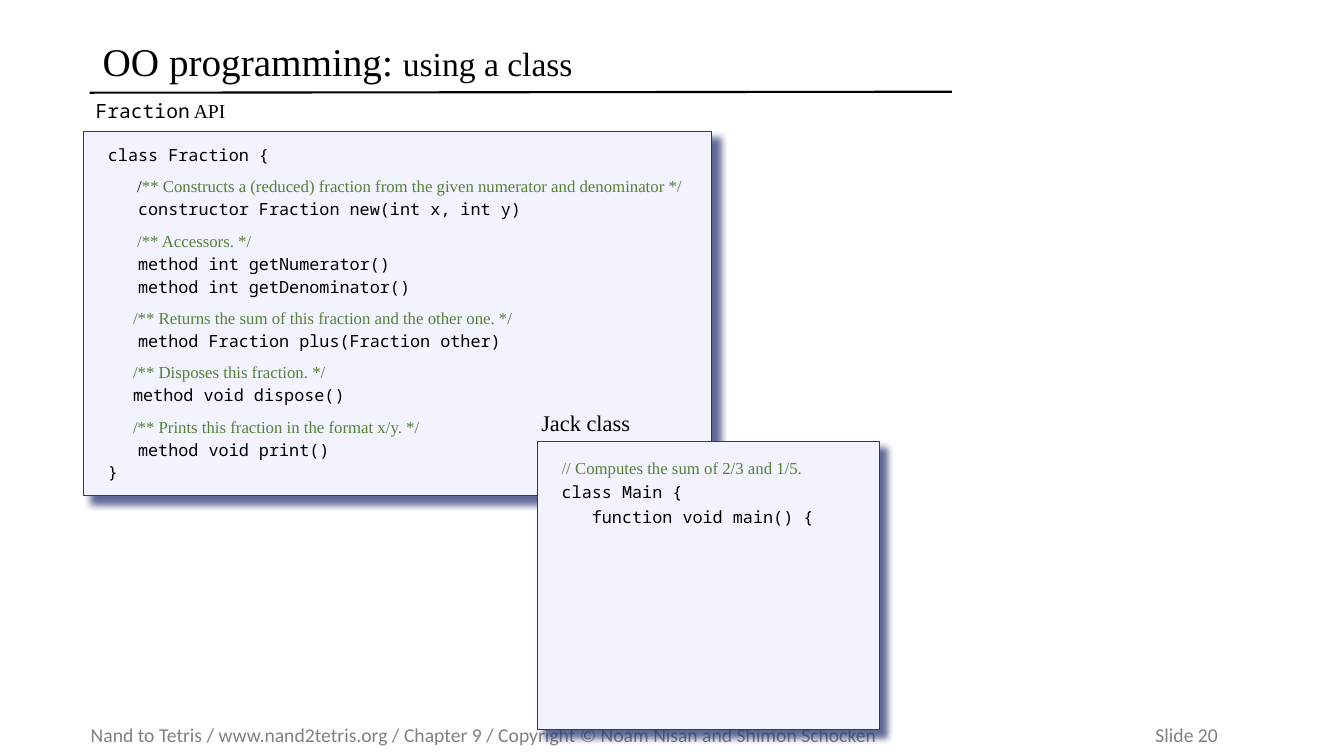
from lxml.etree import SubElement
from pptx import Presentation
from pptx.dml.color import RGBColor
from pptx.enum.shapes import MSO_CONNECTOR, MSO_SHAPE
from pptx.enum.text import MSO_ANCHOR, PP_ALIGN
from pptx.oxml.ns import qn
from pptx.util import Inches, Pt

SERIF, MONO, SANS = "Times New Roman", "Noto Sans Mono", "Calibri"
BLACK, GREEN, GREY = "000000", "548235", "808080"
NAVY, PALE = "293973", "F3F3FF"


def rgb(value):
    return RGBColor.from_string(value)


def add_run(paragraph, text, font=SERIF, size=12, color=BLACK):
    run = paragraph.add_run()
    run.text = text
    run.font.name = font
    run.font.size = Pt(size)
    run.font.color.rgb = rgb(color)


def code(text):
    return text, {"font": MONO}


def comment(text):
    return text, {"color": GREEN}


class CodeSlide:
    def __init__(self, presentation):
        self.slide = presentation.slides.add_slide(presentation.slide_layouts[6])
        self.line_color, self.fill_color = NAVY, PALE

    def set_frame(self, shape, anchor, insets):
        frame = shape.text_frame
        frame.word_wrap = True
        frame.vertical_anchor = anchor
        (frame.margin_left, frame.margin_top,
         frame.margin_right, frame.margin_bottom) = map(Inches, insets)
        return frame

    def label(self, place, runs, anchor=MSO_ANCHOR.TOP, insets=(0.1, 0.05, 0.1, 0.05)):
        """Add one line of plain text and return its paragraph."""
        box = self.slide.shapes.add_textbox(*map(Inches, place))
        line = self.set_frame(box, anchor, insets).paragraphs[0]
        for text, style in runs:
            add_run(line, text, **style)
        return line

    def footer(self, place, credit, number, tab):
        line = self.label(place, [], MSO_ANCHOR.MIDDLE, (0, 0.05, 0, 0.05))
        stops = SubElement(line._p.get_or_add_pPr(), qn("a:tabLst"))
        SubElement(stops, qn("a:tab"), pos=str(Inches(tab)), algn="l")
        add_run(line, f"{credit}\t{number}", font=SANS, size=14, color=GREY)

    def rule(self, start, end):
        line = self.slide.shapes.add_connector(
            MSO_CONNECTOR.STRAIGHT, *map(Inches, start + end))
        line.line.color.rgb = rgb(BLACK)
        line.line.width = Pt(1.5)
        SubElement(line._element.spPr, qn("a:effectLst"))

    def listing(self, place, lines, gap, comment_gap, anchor, top=0.21):
        """Add a shadowed panel of code; comment lines get their own space before."""
        panel = self.slide.shapes.add_shape(MSO_SHAPE.RECTANGLE, *map(Inches, place))
        panel.fill.solid()
        panel.fill.fore_color.rgb = rgb(self.fill_color)
        panel.line.color.rgb = rgb(self.line_color)
        panel.line.width = Pt(0.75)
        self.cast_shadow(panel)
        frame = self.set_frame(panel, anchor, (0.24, top, 0.1, 0.21))
        for index, runs in enumerate(lines):
            line = frame.add_paragraph() if index else frame.paragraphs[0]
            line.alignment = PP_ALIGN.LEFT
            if index:
                is_comment = runs[-1][1].get("color") == GREEN
                line.space_before = Pt(comment_gap if is_comment else gap)
            for text, style in runs:
                add_run(line, text, **style)

    def cast_shadow(self, shape):
        shape.shadow.inherit = False
        effects = shape._element.spPr.find(qn("a:effectLst"))
        shadow = SubElement(effects, qn("a:outerShdw"), blurRad=str(Pt(5)),
                            dist=str(Pt(7.1)), dir=str(45 * 60000),
                            algn="tl", rotWithShape="0")
        tint = SubElement(shadow, qn("a:srgbClr"), val=self.line_color)
        SubElement(tint, qn("a:alpha"), val="75000")


FRACTION_API = [
    [code("class Fraction {")],
    [("       /", {}),
     comment("** Constructs a (reduced) fraction from the given numerator and denominator */")],
    [code("   constructor Fraction new(int x, int y)")],
    [comment("       /** Accessors. */")],
    [code("   method int getNumerator()")],
    [code("   method int getDenominator()")],
    [comment("      /** Returns the sum of this fraction and the other one. */")],
    [code("   method Fraction plus(Fraction other)")],
    [comment("      /** Disposes this fraction. */")],
    [("      ", {}), code("method void dispose()")],
    [comment("      /** Prints this fraction in the format x/y. */")],
    [code("   method void print()")],
    [code("}")],
]
MAIN_CLASS = [
    [comment("// Computes the sum of 2/3 and 1/5.")],
    [code("class Main {")],
    [code("   function void main() {")],
]


def main():
    presentation = Presentation()
    presentation.slide_width = Inches(13.33)
    presentation.slide_height = Inches(7.5)
    page = CodeSlide(presentation)

    page.footer((0.9, 7.12, 12.25, 0.34),
                "Nand to Tetris / www.nand2tetris.org / Chapter 9 / "
                "Copyright © Noam Nisan and Shimon Schocken", "Slide 20", tab=10.56)
    page.rule((0.89, 0.92), (9.44, 0.91))
    title = page.label((0.92, 0.32, 8.53, 0.63),
                       [("OO programming: ", {"size": 28}), ("using a class", {"size": 24})],
                       MSO_ANCHOR.MIDDLE)
    title.line_spacing = 0.9

    page.label((0.85, 0.93, 1.85, 0.42),
               [("Fraction", {"font": MONO, "size": 14}), (" API", {"size": 14})])
    page.listing((0.83, 1.3, 6.23, 3.62), FRACTION_API, gap=2, comment_gap=8,
                 anchor=MSO_ANCHOR.MIDDLE)

    page.listing((5.33, 4.38, 3.39, 2.86), MAIN_CLASS, gap=3, comment_gap=3,
                 anchor=MSO_ANCHOR.TOP, top=0.16)
    page.label((5.27, 4.01, 1.85, 0.42), [("Jack class", {"size": 16})])

    presentation.save("out.pptx")


if __name__ == "__main__":
    main()
